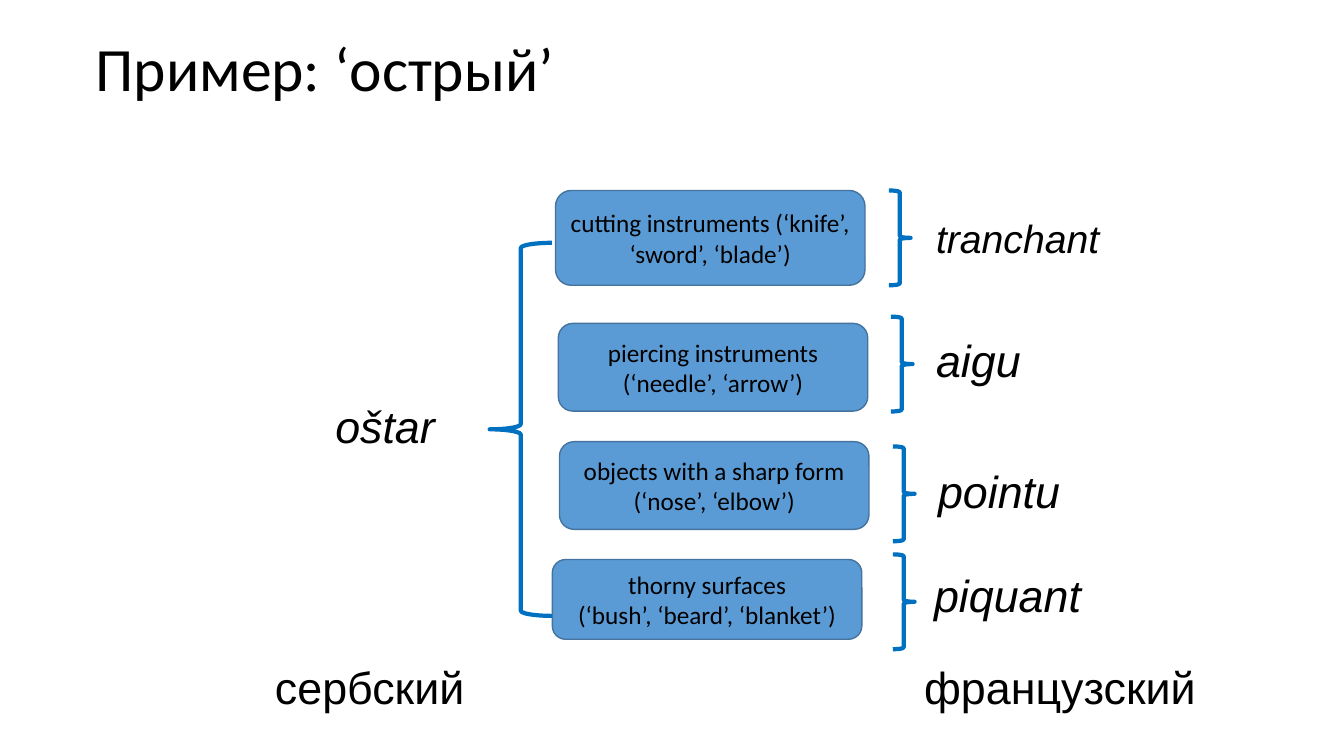
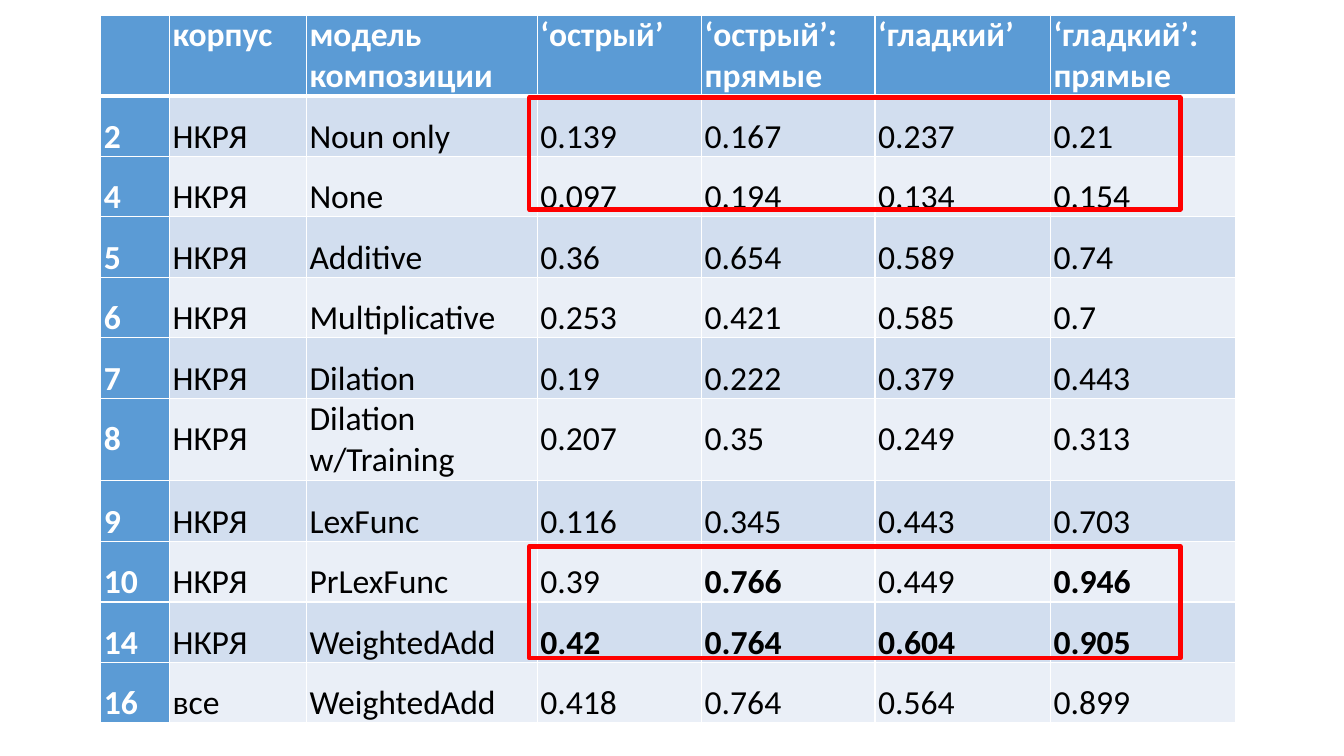
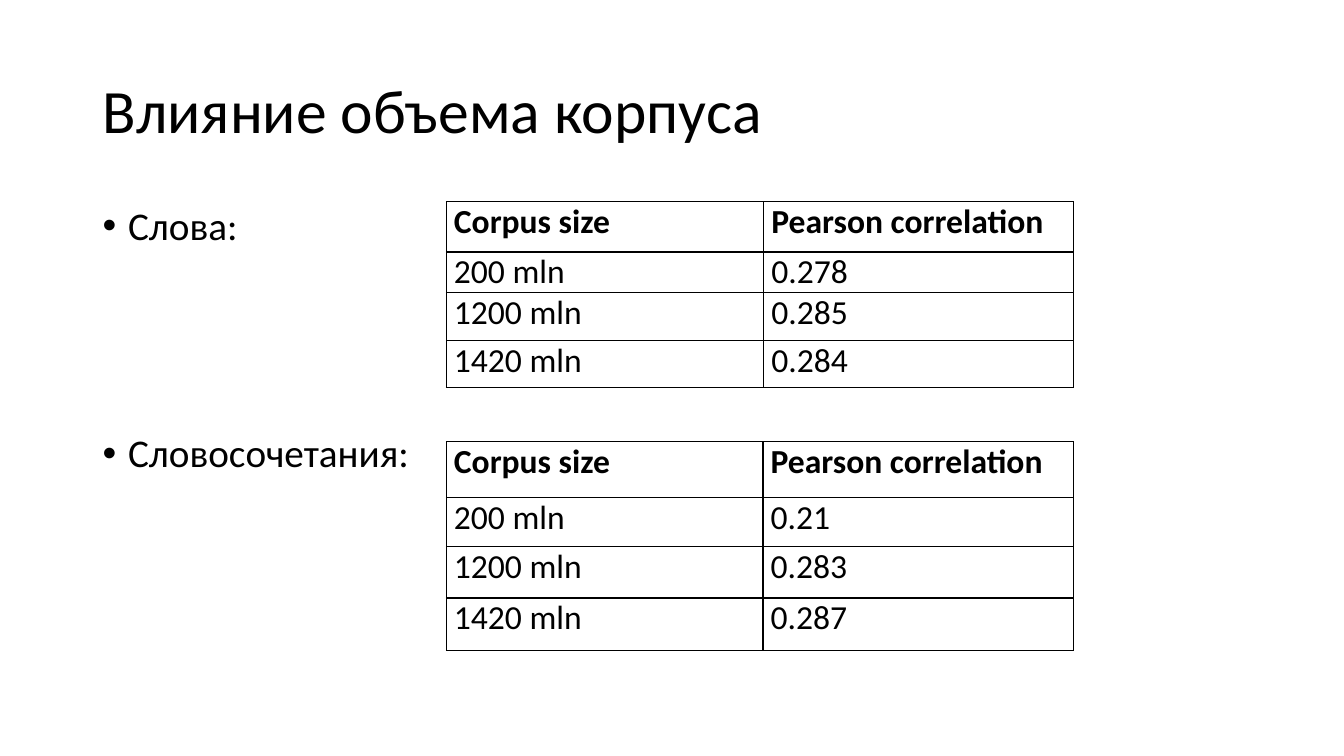
from pptx import Presentation
from pptx import util as u
from pptx.dml import color
from pptx.enum import shapes, text
from pptx.oxml import ns
from lxml import etree

Cm, Pt = u.Cm, u.Pt
KIND = shapes.MSO_SHAPE
MID = text.MSO_ANCHOR.MIDDLE
BLACK, WHITE, RED = "000000", "FFFFFF", "FF0000"
BLUE, EDGE, BRACE = "5B9BD5", "43739E", "0070C0"
BANDS = ["D2DEEF", "EAEFF7"]

# Semantic fields: box left, top, height; brace left, top; word left, top, size
FIELDS = [
    ("cutting instruments (‘knife’, ‘sword’, ‘blade’)", (14, 4.8, 2.39),
     (22.4, 4.8), "tranchant", (23.34, 5.28, 28)),
    ("piercing instruments (‘needle’, ‘arrow’)", (14.07, 8.15, 2.21),
     (22.45, 7.98), "aigu", (23.34, 8.26, 32)),
    ("objects with a sharp form (‘nose’, ‘elbow’)", (14.1, 11.13, 2.21),
     (22.5, 11.25), "pointu", (23.39, 11.56, 32)),
    ("thorny surfaces\n(‘bush’, ‘beard’, ‘blanket’)", (13.92, 14.1, 2.01),
     (22.5, 13.97), "piquant", (23.29, 14.17, 32)),
]

# Model scores; a star marks a bold value
SCORES = [
    ["", "корпус", "модель композиции", "‘острый’", "‘острый’: прямые",
     "‘гладкий’", "‘гладкий’: прямые"],
    ["2", "НКРЯ", "Noun only", "0.139", "0.167", "0.237", "0.21"],
    ["4", "НКРЯ", "None", "0.097", "0.194", "0.134", "0.154"],
    ["5", "НКРЯ", "Additive", "0.36", "0.654", "0.589", "0.74"],
    ["6", "НКРЯ", "Multiplicative", "0.253", "0.421", "0.585", "0.7"],
    ["7", "НКРЯ", "Dilation", "0.19", "0.222", "0.379", "0.443"],
    ["8", "НКРЯ", "Dilation w/Training", "0.207", "0.35", "0.249", "0.313"],
    ["9", "НКРЯ", "LexFunc", "0.116", "0.345", "0.443", "0.703"],
    ["10", "НКРЯ", "PrLexFunc", "0.39", "0.766*", "0.449", "0.946*"],
    ["14", "НКРЯ", "WeightedAdd", "0.42*", "0.764*", "0.604*", "0.905*"],
    ["16", "все", "WeightedAdd", "0.418", "0.764", "0.564", "0.899"],
]

# Correlations by corpus size: top, column widths, row heights, values
SIZES = ["200 mln", "1200 mln", "1420 mln"]
CORPORA = [
    (5.08, [8, 7.8], [1.27, 1.02, 1.22, 1.17], ["0.278", "0.285", "0.284"]),
    (11.13, [7.98, 7.82], [1.4, 1.24, 1.3, 1.32], ["0.21", "0.283", "0.287"]),
]


def rgb(code):
    return color.RGBColor.from_string(code)


def style(para, size, ink=BLACK, face="Calibri", bold=False, slant=False):
    font = para.font
    font.size, font.name, font.bold, font.italic = Pt(size), face, bold, slant
    font.color.rgb = rgb(ink)


# Text boxes
def label(slide, words, at, size, anchor=text.MSO_ANCHOR.TOP, **look):
    frame = slide.shapes.add_textbox(*map(Cm, at)).text_frame
    frame.word_wrap = True
    frame.vertical_anchor = anchor
    frame.text = words
    for para in frame.paragraphs:
        style(para, size, **look)
    return frame


def title(slide, words, at, **look):
    label(slide, words, at, 44, **look).paragraphs[0].line_spacing = 0.9


def bullets(slide, items, at, gap):
    frame = label(slide, "\n".join(items), at, 28)
    for i, para in enumerate(frame.paragraphs):
        para.line_spacing = 0.9
        para.space_before = Pt(gap if i else 0)
        props = para._p.get_or_add_pPr()
        props.set("marL", str(Cm(0.64)))
        props.set("indent", str(-Cm(0.64)))
        font = etree.SubElement(props, ns.qn("a:buFont"), typeface="Arial")
        font.addnext(etree.Element(ns.qn("a:buChar"), char="•"))
        # Bullets go before the default run properties
        props.append(props.find(ns.qn("a:defRPr")))


# Shapes
def shape(slide, kind, at, line, width, fill=None):
    item = slide.shapes.add_shape(kind, *map(Cm, at))
    item.shadow.inherit = False
    item.line.color.rgb = rgb(line)
    item.line.width = Pt(width)
    if fill:
        item.fill.solid()
        item.fill.fore_color.rgb = rgb(fill)
    else:
        item.fill.background()
    return item


def box(slide, words, at):
    frame = shape(slide, KIND.ROUNDED_RECTANGLE, at, EDGE, 1, BLUE).text_frame
    frame.word_wrap = True
    frame.vertical_anchor = MID
    para = frame.paragraphs[0]
    para.text = words
    para.alignment = text.PP_ALIGN.CENTER
    style(para, 18)


# Tables
def border(cell, ink, foot=1):
    props = cell._tc.get_or_add_tcPr()
    for i, side in enumerate(("lnL", "lnR", "lnT", "lnB")):
        width = Pt(foot if side == "lnB" else 1)
        line = etree.Element(ns.qn("a:" + side), w=str(width))
        solid = etree.SubElement(line, ns.qn("a:solidFill"))
        etree.SubElement(solid, ns.qn("a:srgbClr"), val=ink)
        props.insert(i, line)


def grid(slide, data, left, top, cols, rows, inset, paint):
    """paint(cell, para, row, col) sets the look of one cell."""
    table = slide.shapes.add_table(
        len(rows), len(cols), Cm(left), Cm(top),
        Cm(sum(cols)), Cm(sum(rows))).table
    table.first_row = table.horz_banding = False
    for col, width in zip(table.columns, cols):
        col.width = Cm(width)
    for row, high in zip(table.rows, rows):
        row.height = Cm(high)
    for r, line in enumerate(data):
        for c, words in enumerate(line):
            cell = table.cell(r, c)
            cell.margin_left = cell.margin_right = Cm(inset)
            cell.margin_top = cell.margin_bottom = 0
            para = cell.text_frame.paragraphs[0]
            para.text = words.rstrip("*")
            para.alignment = text.PP_ALIGN.JUSTIFY
            paint(cell, para, r, c)


def score(cell, para, r, c):
    head = r == 0 or c == 0
    words = SCORES[r][c]
    style(para, 24, WHITE if head else BLACK,
          bold=head or words.endswith("*"))
    # Two-line cells keep single spacing
    para.line_spacing = 1.0 if r == 0 or "w/" in words else 1.5
    cell.fill.solid()
    cell.fill.fore_color.rgb = rgb(BLUE if head else BANDS[(r - 1) % 2])
    border(cell, WHITE, 1 if r else 3)


def plain(cell, para, r, c):
    style(para, 24, bold=r == 0)
    para.space_before = Pt(3)
    cell.fill.background()
    border(cell, BLACK)


# Slides
def sharp(slide):
    title(slide, "Пример: ‘острый’", (2.16, 0.84, 21.89, 2.51))
    for words, (x, y, h), mark, term, (left, top, size) in FIELDS:
        box(slide, words, (x, y, 7.8, h))
        shape(slide, KIND.RIGHT_BRACE, (*mark, 0.55, 2.39), BRACE, 3)
        label(slide, term, (left, top, 5, 1.63), size,
              face="Arial", slant=True)
    shape(slide, KIND.LEFT_BRACE, (12.34, 6.12, 1.57, 9.4), BRACE, 3)
    label(slide, "oštar", (8.2, 9.93, 3.61, 1.63), 32,
          face="Arial", slant=True)
    for words, x, w in (("сербский", 6.68, 5.92),
                        ("французский", 23.04, 7.92)):
        label(slide, words, (x, 16.51, w, 1.63), 32, face="Arial")


def models(slide):
    rows = [1.52] + [1.22] * 10
    rows[6] = 2.08
    grid(slide, SCORES, 2.54, 0.38,
         [1.73, 3.45, 5.82, 4.14, 4.37, 4.42, 4.67], rows, 0.08, score)
    for top in (13.77, 2.46):
        shape(slide, KIND.RECTANGLE, (13.34, top, 16.41, 2.82), RED, 3)


def corpus(slide):
    title(slide, "Влияние объема корпуса", (2.34, 1.02, 29.21, 3.68),
          anchor=MID)
    bullets(slide, ["Слова:", "Словосочетания:"],
            (2.34, 5.08, 29.21, 12.09), 132)
    for top, cols, rows, values in CORPORA:
        data = [("Corpus size", "Pearson correlation"), *zip(SIZES, values)]
        grid(slide, data, 11.25, top, cols, rows, 0.19, plain)


def main():
    deck = Presentation()
    deck.slide_width, deck.slide_height = Cm(33.87), Cm(19.05)
    for build in (sharp, models, corpus):
        build(deck.slides.add_slide(deck.slide_layouts[6]))
    deck.save("out.pptx")


if __name__ == "__main__":
    main()
